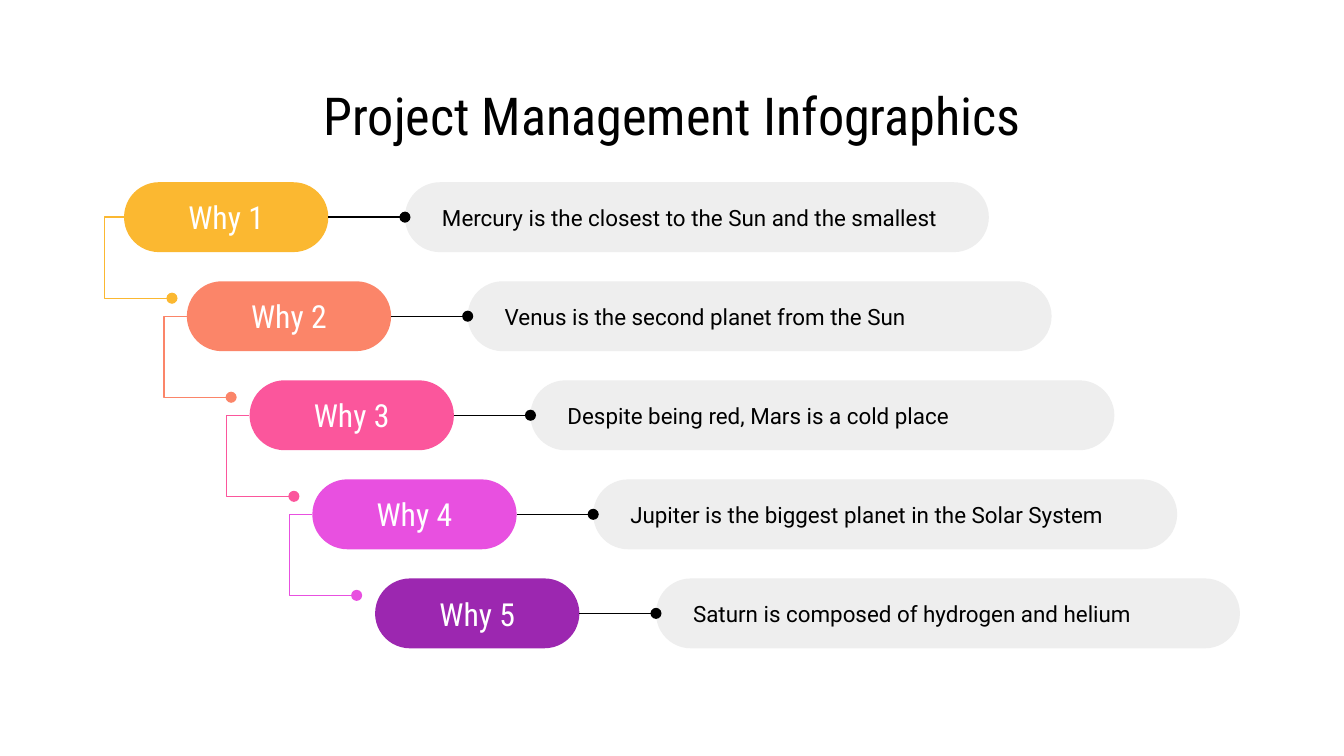
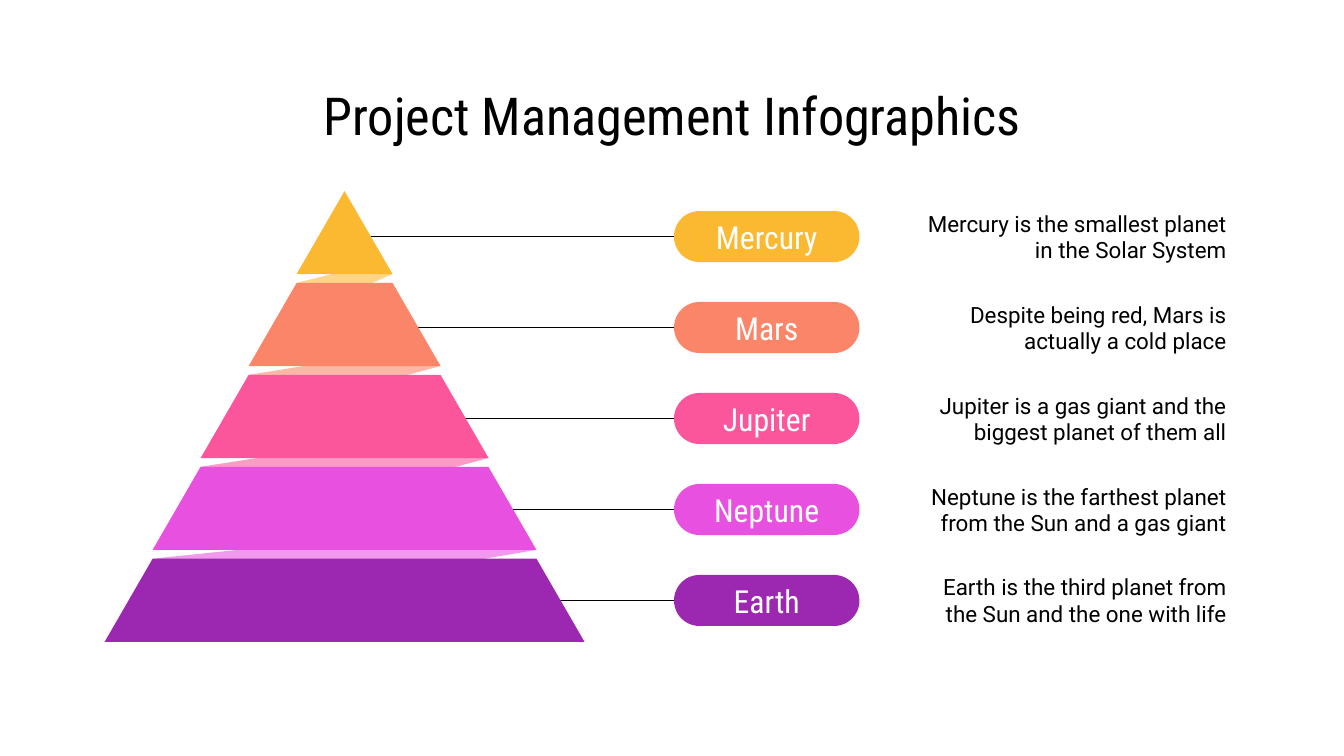
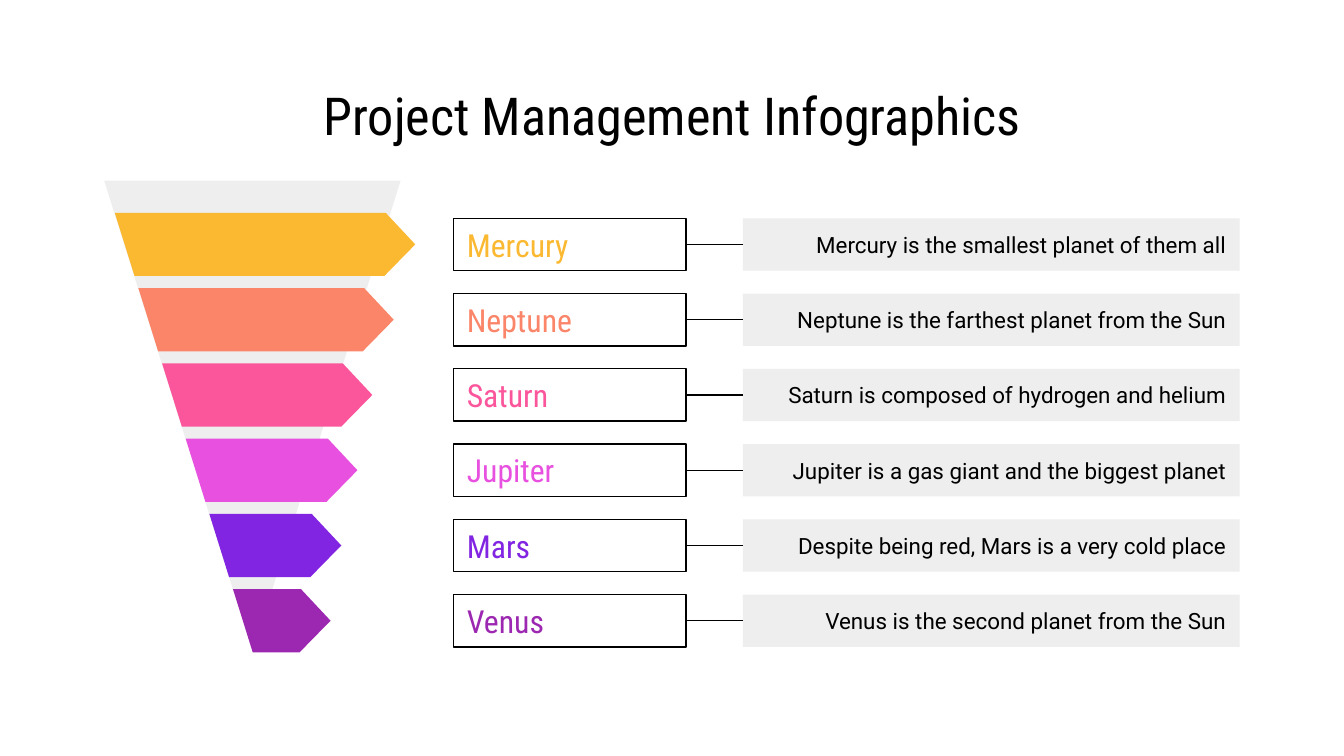
import dataclasses
import typing

import lxml.etree
import pptx
import pptx.dml.color
import pptx.enum.shapes
import pptx.enum.text
import pptx.oxml.ns
import pptx.util

COLS = 100
ROWS = 56.25
UNIT = pptx.util.Inches(10) / COLS

HEADING = "Roboto Condensed"
BODY = "Roboto"
BLACK, WHITE, GREY = "000000", "FFFFFF", "EEEEEE"
YELLOW, CORAL, PINK = "FBB831", "FB8569", "FB569C"
MAGENTA, VIOLET, PURPLE = "E850E0", "8225E2", "9C27B0"
LINE_WIDTH = 0.75
LEFT, RIGHT = 1, 3

SHAPE = pptx.enum.shapes.MSO_SHAPE
ALIGN = pptx.enum.text.PP_ALIGN

Point = tuple[float, float]


@dataclasses.dataclass(frozen=True)
class Box:
    x: float
    y: float
    w: float
    h: float

    def emu(self) -> list[int]:
        return [grid(v) for v in (self.x, self.y, self.w, self.h)]


@dataclasses.dataclass(frozen=True)
class Style:
    size: float
    font: str
    color: str
    align: typing.Any = ALIGN.CENTER
    inset: float = 1


@dataclasses.dataclass(frozen=True)
class Why:
    text: str
    color: str


@dataclasses.dataclass(frozen=True)
class Level:
    name: str
    text: str
    color: str
    line_end: float
    fold: tuple[Point, ...] = ()


@dataclasses.dataclass(frozen=True)
class Stage:
    name: str
    text: str
    color: str
    tip: float


TITLE = Style(28, HEADING, BLACK)
PILL = Style(17, HEADING, WHITE)
NOTE = Style(12, BODY, BLACK, ALIGN.RIGHT)
ANSWER = Style(12, BODY, BLACK, ALIGN.LEFT, inset=2)

WHYS = [
    Why("Mercury is the closest to the Sun and the smallest", YELLOW),
    Why("Venus is the second planet from the Sun", CORAL),
    Why("Despite being red, Mars is a cold place", PINK),
    Why("Jupiter is the biggest planet in the Solar System", MAGENTA),
    Why("Saturn is composed of hydrogen and helium", PURPLE),
]
LEVELS = [
    Level("Mercury", "Mercury is the smallest planet in the Solar System",
          YELLOW, 26.8, ((25.9, 20.1), (26.9, 21.4))),
    Level("Mars", "Despite being red, Mars is actually a cold place",
          CORAL, 30.2, ((25.3, 26.8), (29.6, 28.1))),
    Level("Jupiter", "Jupiter is a gas giant and the biggest planet of them all",
          PINK, 32.3, ((24.2, 33.3), (31.9, 35.3))),
    Level("Neptune", "Neptune is the farthest planet from the Sun and a gas giant",
          MAGENTA, 35.5, ((20.8, 40.6), (34.2, 41.9))),
    Level("Earth", "Earth is the third planet from the Sun and the one with life",
          PURPLE, 39.8),
]
STAGES = [
    Stage("Mercury", "Mercury is the smallest planet of them all", YELLOW, 30.9),
    Stage("Neptune", "Neptune is the farthest planet from the Sun", CORAL, 29.3),
    Stage("Saturn", "Saturn is composed of hydrogen and helium", PINK, 27.7),
    Stage("Jupiter", "Jupiter is a gas giant and the biggest planet", MAGENTA, 26.6),
    Stage("Mars", "Despite being red, Mars is a very cold place", VIOLET, 25.4),
    Stage("Venus", "Venus is the second planet from the Sun", PURPLE, 24.6),
]


def grid(v: float) -> int:
    return round(v * UNIT)


def rgb(color: str) -> pptx.dml.color.RGBColor:
    return pptx.dml.color.RGBColor.from_string(color)


def sub(parent, tag: str, **attrs: str):
    return lxml.etree.SubElement(parent, pptx.oxml.ns.qn(tag), **attrs)


def paint(sp, fill: str | None, line: str | None) -> None:
    sp.shadow.inherit = False
    if fill:
        sp.fill.solid()
        sp.fill.fore_color.rgb = rgb(fill)
    else:
        sp.fill.background()
    if line:
        stroke(sp, line)
    else:
        sp.line.fill.background()


def stroke(sp, color: str, dot: bool = False) -> None:
    sp.line.color.rgb = rgb(color)
    sp.line.width = pptx.util.Pt(LINE_WIDTH)
    if dot:
        ln = sp.element.spPr.find(pptx.oxml.ns.qn("a:ln"))
        sub(ln, "a:tailEnd", type="oval")


def write(sp, text: str, style: Style) -> None:
    tf = sp.text_frame
    tf.word_wrap = True
    tf.vertical_anchor = pptx.enum.text.MSO_ANCHOR.MIDDLE
    tf.margin_left = grid(style.inset)
    tf.margin_top = tf.margin_right = tf.margin_bottom = grid(1)
    p = tf.paragraphs[0]
    p.text = text
    p.alignment = style.align
    p.font.size = pptx.util.Pt(style.size)
    p.font.name = style.font
    p.font.color.rgb = rgb(style.color)


def add_text(s, box: Box, text: str, style: Style) -> None:
    write(s.shapes.add_textbox(*box.emu()), text, style)


def add_box(s, kind, box: Box, text: str, style: Style,
            fill: str | None = None, line: str | None = None):
    sp = s.shapes.add_shape(kind, *box.emu())
    if kind == SHAPE.ROUNDED_RECTANGLE:
        sp.adjustments[0] = 0.5
    paint(sp, fill, line)
    write(sp, text, style)
    return sp


def add_outline(s, points: list[Point], fill: str | None = None,
                line: str | None = None, closed: bool = True):
    pts = [(grid(x), grid(y)) for x, y in points]
    builder = s.shapes.build_freeform(*pts[0])
    builder.add_line_segments(pts[1:], close=closed)
    sp = builder.convert_to_shape()
    paint(sp, fill, line)
    return sp


def add_link(s, start, side: int, end: Point, target=None, dot: bool = False) -> None:
    x, y = (grid(v) for v in end)
    sp = s.shapes.add_connector(pptx.enum.shapes.MSO_CONNECTOR.STRAIGHT, x, y, x, y)
    sp.begin_connect(start, side)
    if target is not None:
        sp.end_connect(target, LEFT)
    stroke(sp, BLACK, dot)
    sub(sp.element.spPr, "a:effectLst")


def add_slide(prs):
    s = prs.slides.add_slide(prs.slide_layouts[6])
    add_text(s, Box(7.75, 5.9, 84.5, 5.3), "Project Management Infographics", TITLE)
    return s


def build_whys(prs) -> None:
    s = add_slide(prs)
    for i, why in enumerate(WHYS):
        x, y = 9.23 + 4.67 * i, 13.56 + 7.37 * i
        mid = y + 2.6
        if i < len(WHYS) - 1:
            start = max(x, 9.5)
            bend = start - 1.7
            elbow = add_outline(
                s, [(start, mid), (bend, mid), (bend, mid + 6.03), (bend + 5, mid + 6.03)],
                line=why.color, closed=False)
            stroke(elbow, why.color, dot=True)
        pill = add_box(s, SHAPE.ROUNDED_RECTANGLE, Box(x, y, 15.2, 5.2),
                       f"Why {i + 1}", PILL, why.color)
        answer = add_box(s, SHAPE.ROUNDED_RECTANGLE, Box(x + 20.9, y, 43.45, 5.2),
                         why.text, ANSWER, GREY)
        add_link(s, pill, RIGHT, (x + 20.9, mid), answer, dot=True)


def build_pyramid(prs) -> None:
    s = add_slide(prs)
    center, step = 25.64, 3.57
    for i, level in enumerate(LEVELS):
        mid = 17.6 + 6.77 * i
        top = 14.22 + 6.84 * i
        bottom = top + 6.18
        upper, lower = step * i, step * (i + 1)
        if level.fold:
            back, front = level.fold
            ribbon = add_outline(
                s, [back, (center - lower, top + 6.84), front, (center + lower, bottom)],
                level.color)
            color = ribbon.element.spPr.find(".//" + pptx.oxml.ns.qn("a:srgbClr"))
            sub(color, "a:alpha", val="58000")
        pill = add_box(s, SHAPE.ROUNDED_RECTANGLE, Box(50.15, mid - 1.9, 13.8, 3.8),
                       level.name, PILL, level.color)
        add_link(s, pill, LEFT, (level.line_end, mid))
        peak = [(center - upper, top)]
        if upper:
            peak.append((center + upper, top))
        add_outline(s, peak + [(center + lower, bottom), (center - lower, bottom)],
                    level.color)
        add_text(s, Box(67.45, mid - 2.9, 24.8, 5.8), level.text, NOTE)


def build_funnel(prs) -> None:
    s = add_slide(prs)
    add_outline(s, [(29.8, 13.45), (7.75, 13.45), (18.8, 48.5)], GREY)
    for i, stage in enumerate(STAGES):
        x, y = 8.54 + 1.76 * i, 15.84 + 5.6 * i
        mid, bottom = y + 2.35, y + 4.7
        shoulder = stage.tip - 2.2
        add_outline(s, [(x, y), (x + 1.47, bottom), (shoulder - 0.1, bottom),
                        (stage.tip, mid), (shoulder, y)], stage.color)
        label = add_box(s, SHAPE.RECTANGLE, Box(33.75, mid - 1.95, 17.3, 3.9), stage.name,
                        Style(17, HEADING, stage.color, ALIGN.LEFT), line=BLACK)
        note = add_box(s, SHAPE.RECTANGLE, Box(55.28, mid - 1.95, 36.97, 3.9),
                       stage.text, NOTE, GREY)
        add_link(s, label, RIGHT, (55.28, mid), note)


def main() -> None:
    prs = pptx.Presentation()
    prs.slide_width, prs.slide_height = grid(COLS), grid(ROWS)
    build_whys(prs)
    build_pyramid(prs)
    build_funnel(prs)
    prs.save("out.pptx")


if __name__ == "__main__":
    main()
